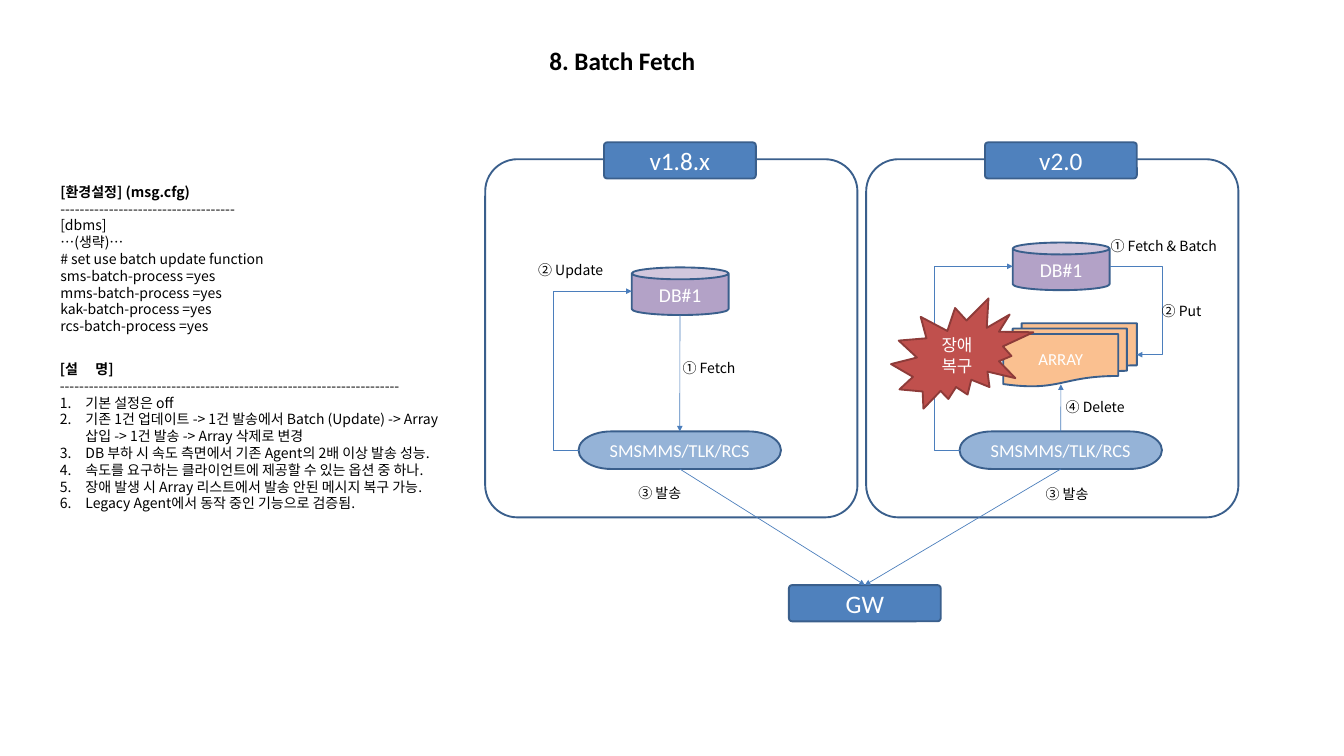
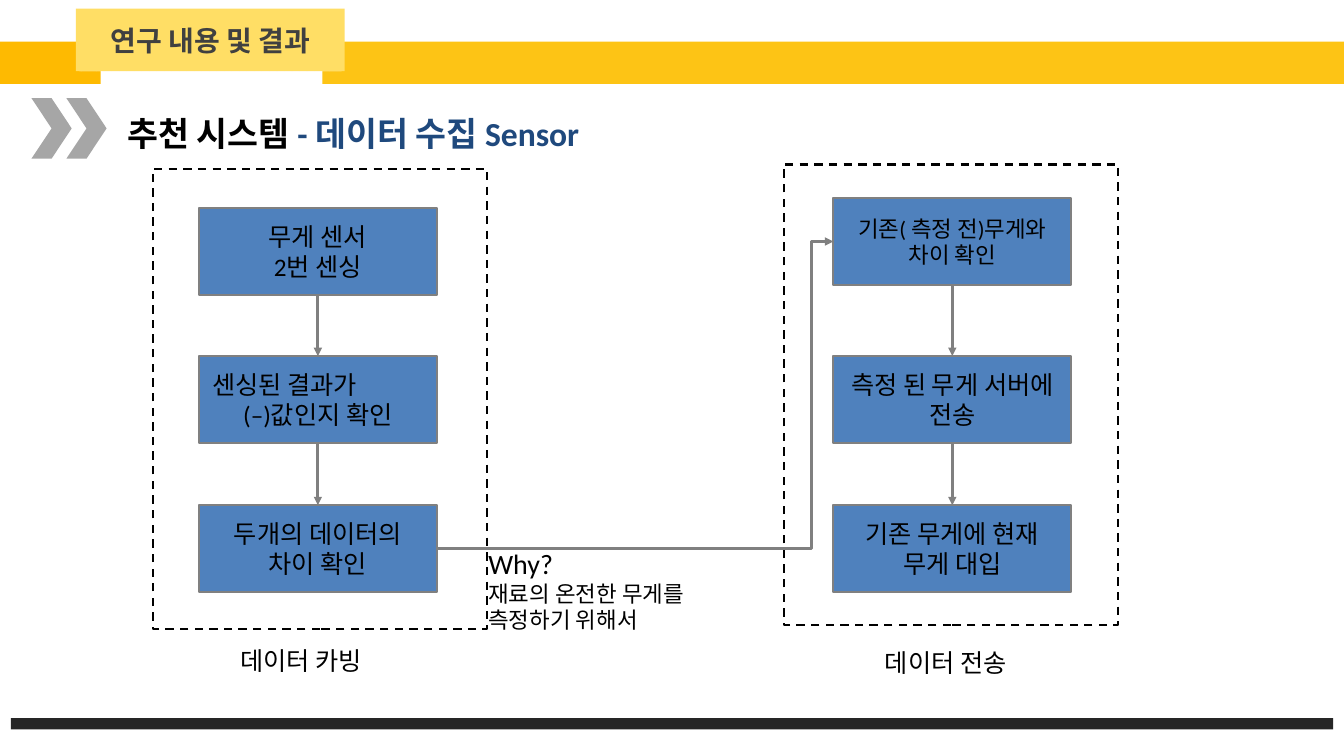
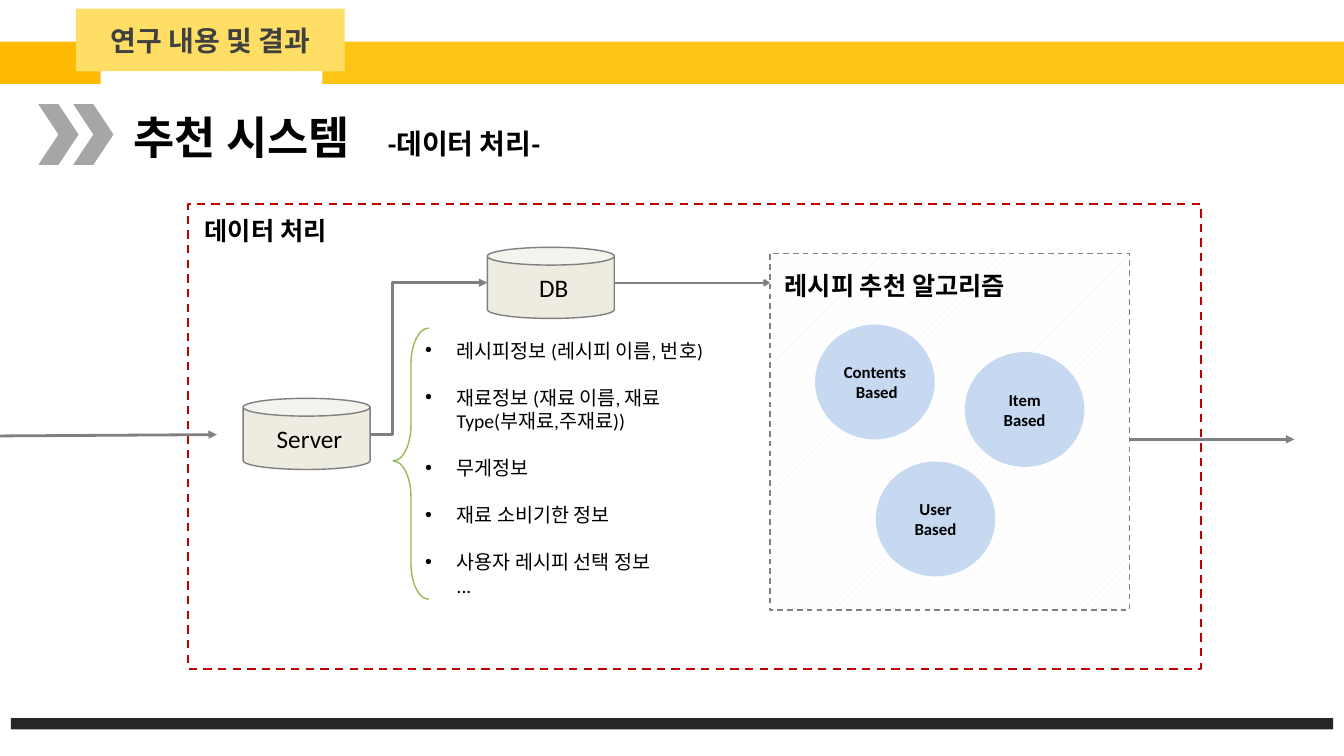
"""Build three slides on batch fetching and a recipe recommendation system."""
from dataclasses import dataclass
from typing import NamedTuple, Optional

import pptx
import pptx.dml.color
import pptx.enum.dml
import pptx.enum.shapes
import pptx.enum.text
import pptx.oxml.ns
import pptx.oxml.xmlchemy
import pptx.shapes.autoshape
import pptx.shapes.connector
import pptx.slide
import pptx.text.text
import pptx.util
from lxml import etree

Cm = pptx.util.Cm
Pt = pptx.util.Pt
SHAPE = pptx.enum.shapes.MSO_SHAPE
CONNECTOR = pptx.enum.shapes.MSO_CONNECTOR
ALIGN = pptx.enum.text.PP_ALIGN
ANCHOR = pptx.enum.text.MSO_ANCHOR
Page = pptx.slide.Slide
Shape = pptx.shapes.autoshape.Shape
TOP, LEFT, BOTTOM, RIGHT = range(4)


@dataclass(frozen=True)
class Theme:
    """Colours, fonts and type sizes of the deck."""
    latin: str = "Calibri"
    korean: str = "Noto Sans CJK KR"
    black: str = "000000"
    white: str = "FFFFFF"
    navy: str = "1F497D"
    blue: str = "4F81BD"
    blue_edge: str = "3A5F8C"
    blue_arrow: str = "4B7EBC"
    blue_soft: str = "95B3D7"
    blue_pale: str = "C6D9F1"
    purple: str = "B3A2C7"
    orange: str = "FAC090"
    red: str = "C0504D"
    red_edge: str = "8E3B39"
    red_frame: str = "C00000"
    green: str = "9BBB59"
    cream: str = "EEECE1"
    gray: str = "808080"
    chevron: str = "A6A6A6"
    hatch: str = "F2F2F2"
    band: str = "FDC415"
    band_start: str = "FEBA01"
    label: str = "FFDE65"
    label_text: str = "404040"
    footer: str = "262626"
    note: float = 15
    small: float = 18
    agent: float = 19.5
    item: float = 21
    medium: float = 24
    body: float = 27
    large: float = 30
    heading: float = 36
    display: float = 48


THEME = Theme()


class Area(NamedTuple):
    """Left, top, width and height in centimetres."""
    left: float
    top: float
    width: float
    height: float


class Point(NamedTuple):
    """A place on the page in centimetres."""
    x: float
    y: float


class Joint(NamedTuple):
    """A side of a box that a connector holds on to."""
    box: Shape
    side: int


class Label(NamedTuple):
    """A short caption with its place."""
    text: str
    left: float
    top: float
    width: float


class Flow(NamedTuple):
    """A framed column of steps with its caption."""
    frame: Area
    steps_left: float
    tops: tuple[float, ...]
    steps: tuple[str, ...]
    caption: str
    caption_at: Point


def rgb(color: str) -> pptx.dml.color.RGBColor:
    """Turn a hex string into a colour."""
    return pptx.dml.color.RGBColor.from_string(color)


def add_child(parent: etree._Element, tag: str, **attributes: str) -> etree._Element:
    """Append a DrawingML element."""
    return etree.SubElement(parent, pptx.oxml.ns.qn(f"a:{tag}"), attributes)


def add_span(para: pptx.text.text._Paragraph, text: str, *, size: float,
             color: str = THEME.black, bold: bool = False, font: str = THEME.latin) -> None:
    """Add a formatted run to a paragraph."""
    span = para.add_run()
    span.text = text
    span.font.name = font
    span.font.size = Pt(size)
    span.font.bold = bold
    span.font.color.rgb = rgb(color)
    add_child(span.font._element, "ea", typeface=THEME.korean)


def write(box: Shape, text: str, *, size: float, color: str = THEME.black, bold: bool = False,
          font: str = THEME.latin, align: ALIGN = ALIGN.LEFT, bullet: str = "",
          indent: float = 0, gap: float = 0, tab: float = 0) -> pptx.text.text._Paragraph:
    """Append one paragraph per line of text; a vertical tab breaks a line."""
    frame = box.text_frame
    for line in text.split("\n"):
        first = not frame.text
        para = frame.paragraphs[0] if first else frame.add_paragraph()
        properties = para._p.get_or_add_pPr()
        if indent:
            properties.set("marL", str(Cm(indent)))
        if bullet:
            properties.set("indent", str(-Cm(indent)))
            if bullet == "1.":
                add_child(properties, "buAutoNum", type="arabicPeriod")
            else:
                add_child(properties, "buFont", typeface="Arial")
                add_child(properties, "buChar", char=bullet)
        if tab:
            add_child(add_child(properties, "tabLst"), "tab", pos=str(Cm(tab)), algn="l")
        para.alignment = align
        para.line_spacing = Pt(1.2 * size)
        if gap and not first:
            para.space_before = Pt(gap)
        for number, part in enumerate(line.split("\v")):
            if number:
                para.add_line_break()
            add_span(para, part, size=size, color=color, bold=bold, font=font)
    return para


def add_text(page: Page, area: Area, text: str, *, anchor: ANCHOR = ANCHOR.TOP, **style) -> Shape:
    """Add a wrapping text box."""
    box = page.shapes.add_textbox(*map(Cm, area))
    box.text_frame.word_wrap = True
    box.text_frame.vertical_anchor = anchor
    write(box, text, **style)
    return box


def add_box(page: Page, kind: SHAPE, area: Area, text: str = "", *, fill: Optional[str] = None,
            line: Optional[str] = None, weight: float = 2, dashed: bool = False,
            adjust: tuple[float, ...] = (), **style) -> Shape:
    """Add a preset shape with optional centred text."""
    box = page.shapes.add_shape(kind, *map(Cm, area))
    box.shadow.inherit = False
    for number, value in enumerate(adjust):
        box.adjustments[number] = value
    if fill == THEME.hatch:
        box.fill.patterned()
        box.fill.pattern = pptx.enum.dml.MSO_PATTERN.PERCENT_10
        box.fill.fore_color.rgb = rgb(THEME.hatch)
        box.fill.back_color.rgb = rgb(THEME.white)
    elif fill:
        box.fill.solid()
        box.fill.fore_color.rgb = rgb(fill)
    else:
        box.fill.background()
    if line:
        box.line.color.rgb = rgb(line)
        box.line.width = Pt(weight)
        if dashed:
            box.line.dash_style = pptx.enum.dml.MSO_LINE.DASH
    else:
        box.line.fill.background()
    if text:
        box.text_frame.word_wrap = True
        box.text_frame.vertical_anchor = ANCHOR.MIDDLE
        write(box, text, **{"align": ALIGN.CENTER, **style})
    return box


def add_arrow(page: Page, start: Point, end: Point, *, color: str = THEME.gray, weight: float = 3,
              via: Optional[float] = None, begin: Optional[Joint] = None,
              finish: Optional[Joint] = None, head: str = "triangle") -> None:
    """Add an arrow, bent at the x position via when one is given."""
    kind = CONNECTOR.STRAIGHT if via is None else CONNECTOR.ELBOW
    arrow = page.shapes.add_connector(kind, *map(Cm, (*start, *end)))
    if begin:
        arrow.begin_connect(*begin)
    if finish:
        arrow.end_connect(*finish)
    arrow.line.color.rgb = rgb(color)
    arrow.line.width = Pt(weight)
    add_child(arrow.line._get_or_add_ln(), "tailEnd", type=head)
    properties = arrow._element.spPr
    add_child(properties, "effectLst")
    if via is not None:
        bend = round((via - start.x) / (end.x - start.x) * 100000)
        guides = properties.find(".//" + pptx.oxml.ns.qn("a:avLst"))
        add_child(guides, "gd", name="adj1", fmla=f"val {bend}")


def add_tag(page: Page, left: float, top: float, text: str) -> Shape:
    """Add a rounded blue name plate."""
    return add_box(page, SHAPE.ROUNDED_RECTANGLE, Area(left, top, 5.74, 1.37), text,
                   fill=THEME.blue, line=THEME.blue_edge, adjust=(0.09,),
                   size=THEME.body, color=THEME.white)


def add_version(page: Page, shift: float, name: str, database_top: float) -> Shape:
    """Draw the panel of one version and return its agent."""
    edge = {"line": THEME.blue_edge, "color": THEME.white}
    add_box(page, SHAPE.ROUNDED_RECTANGLE, Area(18.34 + shift, 6.02, 14.07, 13.54),
            line=THEME.blue_edge, adjust=(0.09,))
    add_tag(page, 22.83 + shift, 5.38, name)
    add_box(page, SHAPE.CAN, Area(23.88 + shift, database_top, 3.66, 1.8), "DB#1",
            fill=THEME.purple, size=THEME.item, **edge)
    agent = add_box(page, SHAPE.FLOWCHART_TERMINATOR, Area(21.87 + shift, 16.31, 7.65, 1.42),
                    "SMSMMS/TLK/RCS", fill=THEME.blue_soft, size=THEME.agent, **edge)
    add_arrow(page, Point(21.87 + shift, 17.02), Point(23.88 + shift, database_top + 0.9),
              via=20.93 + shift, color=THEME.blue_arrow, weight=0.75)
    return agent


def build_batch_page(page: Page) -> None:
    """Compare fetching in two versions."""
    note = {"size": THEME.note, "font": THEME.korean}
    thin = {"color": THEME.blue_arrow, "weight": 0.75}
    add_text(page, Area(12.85, 1.27, 21.34, 2.01), "8. Batch Fetch", anchor=ANCHOR.MIDDLE,
             size=THEME.body, bold=True, align=ALIGN.CENTER)
    settings = add_text(page, Area(2.03, 6.27, 10.64, 7.04), "[환경설정] (msg.cfg)",
                        anchor=ANCHOR.MIDDLE, bold=True, **note)
    write(settings, "-" * 36 + """
[dbms]
…(생략)…
# set use batch update function
sms-batch-process =yes
mms-batch-process =yes
kak-batch-process =yes
rcs-batch-process =yes""", **note)
    details = add_text(page, Area(2.01, 12.8, 16.18, 7.37), "[설\t명]",
                       anchor=ANCHOR.MIDDLE, bold=True, tab=1.35, **note)
    write(details, "-" * 70, **note)
    write(details, """기본 설정은 off
기존 1건 업데이트 -> 1건 발송에서 Batch (Update) -> Array 삽입 -> 1건 발송 -> Array 삭제로 변경
DB 부하 시 속도 측면에서 기존 Agent의 2배 이상 발송 성능.
속도를 요구하는 클라이언트에 제공할 수 있는 옵션 중 하나.
장애 발생 시 Array 리스트에서 발송 안된 메시지 복구 가능.
Legacy Agent에서 동작 중인 기능으로 검증됨.""", bullet="1.", indent=0.97, **note)

    old_agent = add_version(page, 0, "v1.8.x", 10.11)
    new_agent = add_version(page, 14.4, "v2.0", 9.17)
    gateway = add_tag(page, 29.82, 22.12, "GW")
    add_box(page, SHAPE.FLOWCHART_MULTIDOCUMENT, Area(37.92, 12.22, 5.05, 2.39), "ARRAY",
            fill=THEME.orange, line=THEME.blue_edge, size=THEME.small, color=THEME.white)
    for agent, x in ((old_agent, 25.7), (new_agent, 40.1)):
        add_arrow(page, Point(x, 17.73), Point(32.69, 22.12), begin=Joint(agent, BOTTOM),
                  finish=Joint(gateway, TOP), **thin)
    add_arrow(page, Point(25.7, 11.91), Point(25.7, 16.31), finish=Joint(old_agent, TOP), **thin)
    add_arrow(page, Point(40.1, 16.31), Point(40.1, 14.53), begin=Joint(new_agent, TOP), **thin)
    add_arrow(page, Point(41.94, 10.07), Point(42.97, 13.41), via=43.94, **thin)
    for label in (Label("① Fetch", 25.55, 13.31, 2.9),
                  Label("② Update", 20.09, 9.6, 3.48),
                  Label("③ 발송", 23.88, 18.01, 3.18),
                  Label("① Fetch & Batch", 41.73, 8.69, 5.49),
                  Label("② Put", 43.66, 11.13, 3.48),
                  Label("③ 발송", 39.27, 18.08, 3.18),
                  Label("④ Delete", 40.03, 14.78, 3.18)):
        add_text(page, Area(label.left, label.top, label.width, 1.22), label.text,
                 anchor=ANCHOR.MIDDLE, **note)
    add_box(page, SHAPE.EXPLOSION2, Area(33.68, 11.28, 5.38, 4.17), "장애\n복구",
            fill=THEME.red, line=THEME.red_edge, size=THEME.small, color=THEME.white)


def add_bands(page: Page, chevrons: Point) -> None:
    """Draw the header bands, section label, chevrons and footer."""
    for area, fill in ((Area(12.19, 1.57, 38.61, 1.6), THEME.band),
                       (Area(0, 1.57, 3.81, 1.6), THEME.band_start),
                       (Area(3, 0.79, 9.91, 1.9), THEME.hatch),
                       (Area(0.41, 27.15, 49.98, 0.43), THEME.footer)):
        add_box(page, SHAPE.RECTANGLE, area, fill=fill)
    add_box(page, SHAPE.RECTANGLE, Area(2.87, 0.33, 10.16, 2.36), "연구 내용 및 결과",
            fill=THEME.label, size=THEME.large, color=THEME.label_text, bold=True)
    for number in range(2):
        add_box(page, SHAPE.CHEVRON, Area(chevrons.x + 1.32 * number, chevrons.y, 1.52, 2.29),
                fill=THEME.chevron)


def add_flow(page: Page, flow: Flow) -> None:
    """Draw a dashed frame with linked steps and a caption."""
    add_box(page, SHAPE.RECTANGLE, flow.frame, line=THEME.black, weight=2.25, dashed=True)
    previous = None
    for top, step in zip(flow.tops, flow.steps):
        size = THEME.medium if step.startswith("기존(") else THEME.body
        box = add_box(page, SHAPE.RECTANGLE, Area(flow.steps_left, top, 8.99, 3.28), step,
                      fill=THEME.blue, line=THEME.gray, size=size)
        if step.startswith("센싱된"):
            para = box.text_frame.paragraphs[0]
            para.alignment = ALIGN.LEFT
            para._p.get_or_add_pPr().set("marL", str(Cm(0.25)))
        if previous:
            center = flow.steps_left + 4.5
            add_arrow(page, Point(center, top - 1), Point(center, top),
                      begin=Joint(previous, BOTTOM), finish=Joint(box, TOP))
        previous = box
    add_text(page, Area(*flow.caption_at, 11.15, 1.42), flow.caption, size=THEME.body)


def build_sensor_page(page: Page) -> None:
    """Show how sensor data is collected and sent."""
    add_bands(page, Point(1.19, 3.71))
    heading = add_text(page, Area(4.57, 4.14, 22.02, 1.8), "추천 시스템 ",
                       size=THEME.heading, bold=True)
    add_span(heading.text_frame.paragraphs[0], "- 데이터 수집 Sensor",
             size=THEME.heading, color=THEME.navy, bold=True)
    add_flow(page, Flow(Area(5.77, 6.38, 12.65, 17.4), 7.52, (7.87, 13.46, 19.1),
                        ("무게 센서\n2번 센싱", "센싱된 결과가\n(–)값인지 확인",
                         "두개의 데이터의\n차이 확인"),
                        "데이터 카빙", Point(8.84, 24.26)))
    add_flow(page, Flow(Area(29.62, 6.22, 12.65, 17.4), 31.5, (7.49, 13.46, 19.1),
                        ("기존( 측정 전)무게와 차이 확인", "측정 된 무게 서버에 전송",
                         "기존 무게에 현재 무게 대입"),
                        "데이터 전송", Point(33.2, 24.33)))
    add_arrow(page, Point(16.51, 20.74), Point(31.5, 9.13), via=30.66)
    reason = add_text(page, Area(18.21, 20.52, 11, 3.58), "Why?", size=THEME.large)
    write(reason, "재료의 온전한 무게를 측정하기 위해서", size=THEME.medium)


def build_processing_page(page: Page) -> None:
    """Show how the server data feeds the recommendation algorithms."""
    add_bands(page, Point(1.45, 3.94))
    heading = add_text(page, Area(4.8, 4.01, 22.02, 2.31), "추천 시스템\t",
                       size=THEME.display, bold=True, tab=9.61)
    add_span(heading.text_frame.paragraphs[0], "-데이터 처리-", size=THEME.large, bold=True)
    add_box(page, SHAPE.RECTANGLE, Area(7.11, 7.7, 38.28, 17.58), line=THEME.red_frame,
            weight=2.25, dashed=True)
    add_text(page, Area(7.49, 8, 6.5, 1.42), "데이터 처리", size=THEME.body, bold=True)
    add_box(page, SHAPE.LEFT_BRACE, Area(14.86, 12.4, 1.35, 10.26), line=THEME.green,
            weight=1.5, adjust=(1.01, 0.49))
    add_text(page, Area(15.82, 12.62, 12.19, 10.13), """레시피정보 (레시피 이름, 번호)
재료정보 (재료 이름, 재료 Type(부재료,주재료))
무게정보
재료 소비기한 정보
사용자 레시피 선택 정보\v...""", anchor=ANCHOR.MIDDLE, size=THEME.item, bullet="•",
             indent=1.19, gap=1.2 * THEME.item)
    add_box(page, SHAPE.RECTANGLE, Area(29.11, 9.58, 13.59, 13.49), fill=THEME.hatch,
            line=THEME.gray, weight=1.5, dashed=True)
    add_text(page, Area(29.41, 10.11, 11.89, 1.42), "레시피 추천 알고리즘",
             size=THEME.body, bold=True)
    for text, left, top in (("Contents\n Based", 30.81, 12.27), ("Item\nBased", 36.47, 13.31),
                            ("User\nBased", 33.1, 17.45)):
        add_box(page, SHAPE.OVAL, Area(left, top, 4.52, 4.34), text, fill=THEME.blue_pale,
                size=THEME.small, bold=True)
    for text, left, top in ((" Server", 9.19, 15.06), (" DB", 18.42, 9.35)):
        add_box(page, SHAPE.CAN, Area(left, top, 4.8, 2.69), text, fill=THEME.cream,
                line=THEME.gray, weight=1.5, size=THEME.body)
    add_arrow(page, Point(0, 16.48), Point(8.2, 16.43))
    add_arrow(page, Point(14, 16.43), Point(18.42, 10.69), via=14.83)
    add_arrow(page, Point(42.7, 16.61), Point(48.92, 16.61))
    add_arrow(page, Point(23.22, 10.69), Point(29.11, 10.69), weight=2.25, head="arrow")


def main() -> None:
    """Build and save the deck."""
    deck = pptx.Presentation()
    deck.slide_width, deck.slide_height = Cm(50.8), Cm(28.58)
    for build in (build_batch_page, build_sensor_page, build_processing_page):
        build(deck.slides.add_slide(deck.slide_layouts[6]))
    deck.save("out.pptx")


if __name__ == "__main__":
    main()
